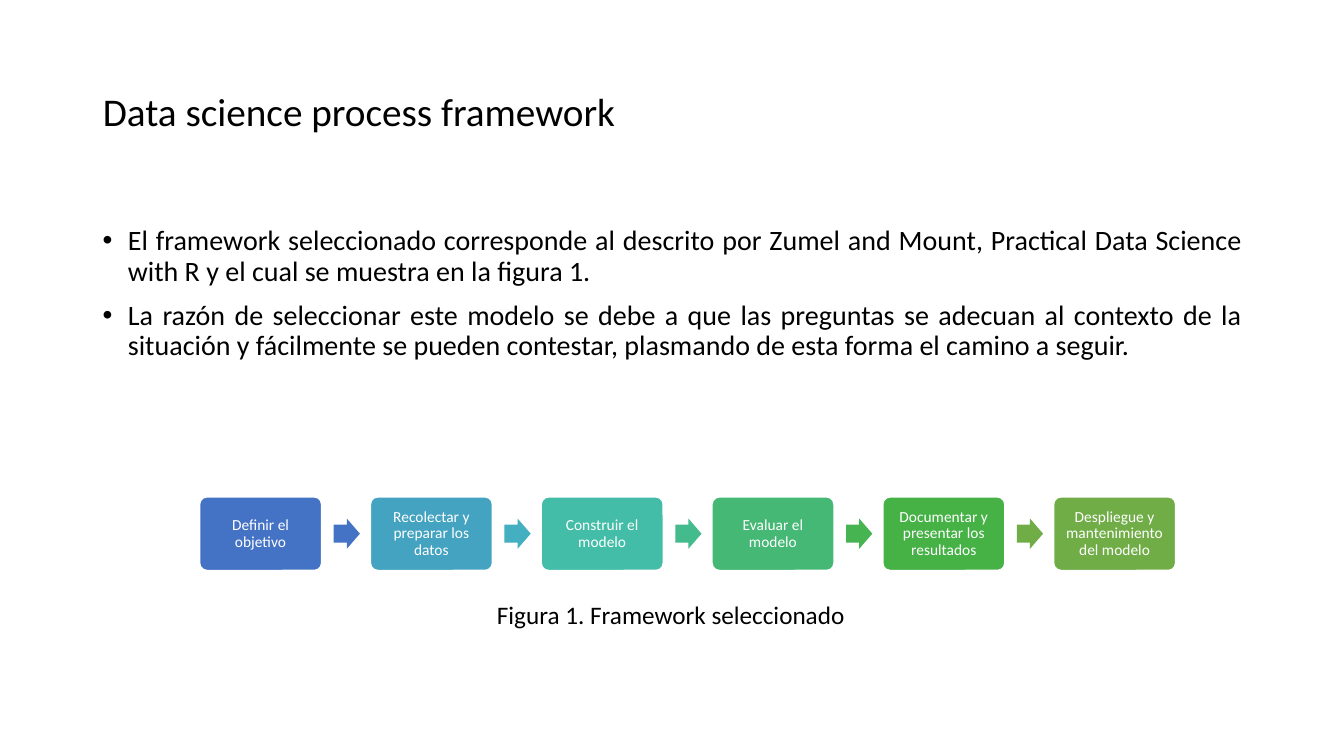
from lxml import etree
from pptx import Presentation
from pptx.dml.color import RGBColor
from pptx.enum.shapes import MSO_SHAPE
from pptx.enum.text import MSO_ANCHOR, MSO_AUTO_SIZE, PP_ALIGN
from pptx.oxml.ns import qn
from pptx.util import Inches, Pt

ROUNDED, ARROW = MSO_SHAPE.ROUNDED_RECTANGLE, MSO_SHAPE.RIGHT_ARROW
TOP, MIDDLE = MSO_ANCHOR.TOP, MSO_ANCHOR.MIDDLE
LEFT, CENTER, JUSTIFY = PP_ALIGN.LEFT, PP_ALIGN.CENTER, PP_ALIGN.JUSTIFY
NO_AUTOFIT = MSO_AUTO_SIZE.NONE

FONT = "Calibri"
TITLE_ONLY = 5
BLACK = RGBColor(0x00, 0x00, 0x00)
WHITE = RGBColor(0xFF, 0xFF, 0xFF)
BLUE = RGBColor(0x44, 0x72, 0xC4)
SKY = RGBColor(0x44, 0xA3, 0xC0)
CYAN = RGBColor(0x43, 0xAF, 0xC0)
TEAL = RGBColor(0x43, 0xBD, 0xA7)
SEA = RGBColor(0x43, 0xBB, 0x8D)
JADE = RGBColor(0x44, 0xB8, 0x74)
EMERALD = RGBColor(0x45, 0xB4, 0x51)
GREEN = RGBColor(0x46, 0xB2, 0x46)
OLIVE = RGBColor(0x70, 0xAD, 0x47)

TITLE = "Data science process framework"
REASONS = [
    "El framework seleccionado corresponde al descrito por Zumel and Mount, Practical "
    "Data Science with R y el cual se muestra en la figura 1.",
    "La razón de seleccionar este modelo se debe a que las preguntas se adecuan al "
    "contexto de la situación y fácilmente se pueden contestar, plasmando de esta "
    "forma el camino a seguir.",
]
CAPTION = "Figura 1. Framework seleccionado"
# Step label, step colour, colour of the arrow to the next step
STEPS = [
    ("Definir el objetivo", BLUE, BLUE),
    ("Recolectar y preparar los datos", SKY, CYAN),
    ("Construir el modelo", TEAL, SEA),
    ("Evaluar el modelo", JADE, EMERALD),
    ("Documentar y presentar los resultados", GREEN, OLIVE),
    ("Despliegue y mantenimiento del modelo", OLIVE, None),
]


def write(shape, *texts, size, color=BLACK, align=LEFT, anchor=TOP,
          line_spacing=1.0, space_before=0, inset=None, bulleted=False):
    """Fill a shape with one paragraph for each text."""
    frame = shape.text_frame
    frame.word_wrap = True
    frame.auto_size = NO_AUTOFIT
    frame.vertical_anchor = anchor
    if inset is not None:
        frame.margin_left = frame.margin_right = Inches(inset)
        frame.margin_top = frame.margin_bottom = Inches(inset)
    for index, text in enumerate(texts):
        paragraph = frame.add_paragraph() if index else frame.paragraphs[0]
        paragraph.alignment = align
        paragraph.line_spacing = line_spacing
        paragraph.space_before = Pt(space_before)
        run = paragraph.add_run()
        run.text = text
        run.font.name = FONT
        run.font.size = Pt(size)
        run.font.color.rgb = color
        if bulleted:
            add_bullet(paragraph)


def add_bullet(paragraph, indent=0.25):
    properties = paragraph._p.get_or_add_pPr()
    properties.set("marL", str(Inches(indent)))
    properties.set("indent", str(-Inches(indent)))
    etree.SubElement(properties, qn("a:buFont")).set("typeface", "Arial")
    etree.SubElement(properties, qn("a:buChar")).set("char", "•")


def place_title(slide, left, top, width, height):
    title = slide.shapes.title
    title.left, title.top = Inches(left), Inches(top)
    title.width, title.height = Inches(width), Inches(height)
    write(title, TITLE, size=28, anchor=MIDDLE, line_spacing=0.9)


def add_text(slide, left, top, width, height, *texts, **text_format):
    box = slide.shapes.add_textbox(Inches(left), Inches(top), Inches(width), Inches(height))
    write(box, *texts, **text_format)


def add_block(slide, preset, left, top, width, height, fill, adjustments):
    block = slide.shapes.add_shape(
        preset, Inches(left), Inches(top), Inches(width), Inches(height))
    block.shadow.inherit = False
    block.fill.solid()
    block.fill.fore_color.rgb = fill
    block.line.fill.background()
    for index, value in enumerate(adjustments):
        block.adjustments[index] = value
    return block


def add_process(slide, left, top, width, height):
    """Spread the steps evenly over the box, with an arrow in each gap."""
    step_width, arrow_width, arrow_height, arrow_gap = 1.21, 0.26, 0.3, 0.12
    pitch = (width - step_width) / (len(STEPS) - 1)
    for index, (label, step_color, arrow_color) in enumerate(STEPS):
        step_left = left + index * pitch
        step = add_block(slide, ROUNDED, step_left, top, step_width, height,
                         step_color, [0.1])
        step.line.color.rgb = WHITE
        step.line.width = Pt(1)
        write(step, label, size=11, color=WHITE, align=CENTER, anchor=MIDDLE,
              line_spacing=0.9, inset=0.05)
        if arrow_color is not None:
            add_block(slide, ARROW, step_left + step_width + arrow_gap,
                      top + (height - arrow_height) / 2, arrow_width, arrow_height,
                      arrow_color, [0.6, 0.5])


def main():
    presentation = Presentation()
    presentation.slide_width, presentation.slide_height = Inches(13.33), Inches(7.5)
    slide = presentation.slides.add_slide(presentation.slide_layouts[TITLE_ONLY])
    place_title(slide, 0.92, 0.4, 11.5, 1.45)
    add_text(slide, 0.92, 2.2, 11.5, 4.76, *REASONS, size=20, align=JUSTIFY,
             line_spacing=0.9, space_before=10, bulleted=True)
    add_process(slide, 1.98, 4.93, 9.68, 0.73)
    add_text(slide, 4.83, 5.9, 3.67, 0.4, CAPTION, size=18)
    presentation.save("out.pptx")


if __name__ == "__main__":
    main()
